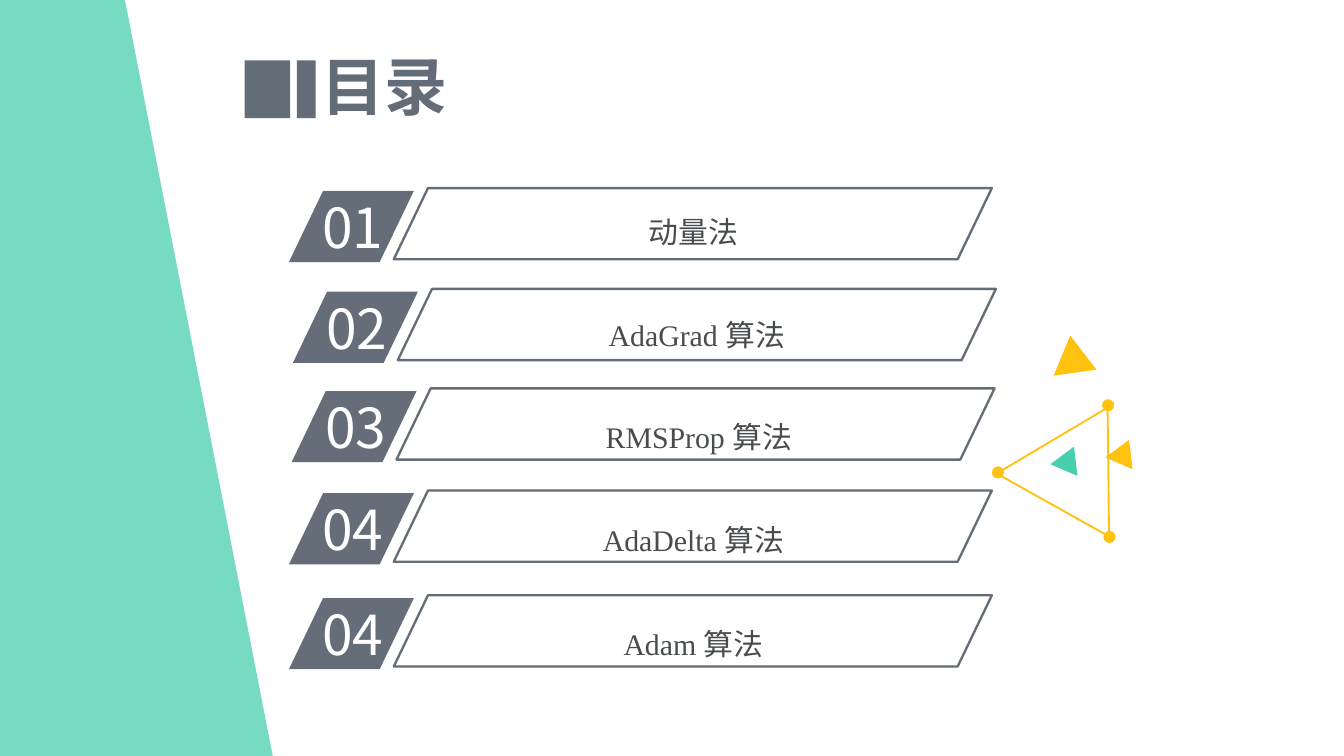
from lxml.etree import SubElement
from pptx import Presentation
from pptx.dml.color import RGBColor
from pptx.enum.shapes import MSO_SHAPE
from pptx.enum.text import MSO_ANCHOR, PP_ALIGN
from pptx.oxml.ns import qn
from pptx.util import Inches, Pt

COLORS = {
    "white": "FFFFFF", "mint": "49CFAE", "teal": "48CFAE", "gold": "FFC20F",
    "slate": "646D78", "title": "636D78", "label": "494C4F",
}
SANS, SERIF = "Noto Sans CJK SC", "Times New Roman"
WIDE = Inches(10)
HIGH = WIDE * 9 // 16

# Number, label, frame left and top, label left, top and width
ROWS = [
    ("01", "动量法", 2.93, 1.40, 3.53, 1.42, 3.26),
    ("02", "AdaGrad 算法", 2.96, 2.15, 3.07, 2.18, 4.23),
    ("03", "RMSProp 算法", 2.95, 2.89, 3.08, 2.94, 4.24),
    ("04", "AdaDelta 算法", 2.93, 3.65, 3.53, 3.71, 3.26),
    ("04", "Adam 算法", 2.93, 4.43, 3.53, 4.48, 3.26),
]


def color(name):
    return RGBColor.from_string(COLORS[name])


def paint(shape, fill=None, line=None, width=1):
    shape.shadow.inherit = False
    if fill:
        shape.fill.solid()
        shape.fill.fore_color.rgb = color(fill)
    else:
        shape.fill.background()
    if line:
        shape.line.color.rgb = color(line)
        shape.line.width = Pt(width)
    else:
        shape.line.fill.background()


def add_form(slide, kind, box, turn=0, **style):
    shape = slide.shapes.add_shape(kind, *map(Inches, box))
    shape.rotation = turn
    paint(shape, **style)
    return shape


def add_slant(slide, box, **style):
    shape = add_form(slide, MSO_SHAPE.PARALLELOGRAM, box, **style)
    shape.adjustments[0] = 0.48


def add_text(slide, text, box, size, face, tone, align=PP_ALIGN.LEFT,
             inset=(0.1, 0.05), space=None, bold=None, anchor=MSO_ANCHOR.TOP):
    frame = slide.shapes.add_textbox(*map(Inches, box)).text_frame
    frame.word_wrap = True
    frame.vertical_anchor = anchor
    frame.margin_left = frame.margin_right = Inches(inset[0])
    frame.margin_top = frame.margin_bottom = Inches(inset[1])
    para = frame.paragraphs[0]
    para.text = text
    para.alignment = align
    para.line_spacing = space
    font = para.font
    font.size, font.name, font.bold = Pt(size), face, bold
    font.color.rgb = color(tone)
    # Chinese glyphs use the sans face
    props = para._p.pPr.find(qn("a:defRPr"))
    SubElement(props, qn("a:ea")).set("typeface", SANS)


def add_panel(slide):
    pen = slide.shapes.build_freeform(0, 0, scale=1)
    edge = [(Inches(0.93), 0), (Inches(2.03), HIGH), (0, HIGH)]
    pen.add_line_segments(edge, close=True)
    panel = pen.convert_to_shape()
    paint(panel, fill="mint")
    tint = panel._element.spPr.find(qn("a:solidFill"))[0]
    SubElement(tint, qn("a:alpha")).set("val", "75000")


def add_row(slide, num, label, x, y, left, top, width):
    add_slant(slide, (x - 0.78, y + 0.02, 0.93, 0.53), fill="slate")
    add_text(slide, num, (x - 0.63, y - 0.01, 0.88, 0.6), 29.5, SANS, "white")
    add_text(slide, label, (left, top, width, 0.43), 16, SERIF, "label",
             align=PP_ALIGN.CENTER, inset=(0.08, 0.04), space=1.5)
    add_slant(slide, (x, y, 4.45, 0.53), line="slate", width=1.25)


def add_decor(slide):
    tri = MSO_SHAPE.ISOSCELES_TRIANGLE
    add_form(slide, tri, (7.79, 2.57, 0.32, 0.28), 232.4, fill="gold")
    add_form(slide, tri, (7.85, 3.37, 0.22, 0.19), 143.3, fill="teal")
    add_form(slide, tri, (8.26, 3.32, 0.22, 0.19), 143.3, fill="gold")
    add_form(slide, tri, (7.56, 3.22, 0.96, 0.83), 149.3, line="gold")
    for x, y in [(8.2, 2.97), (8.21, 3.95), (7.38, 3.47)]:
        add_form(slide, MSO_SHAPE.OVAL, (x, y, 0.09, 0.09), fill="gold")


def main():
    deck = Presentation()
    deck.slide_width, deck.slide_height = WIDE, HIGH
    slide = deck.slides.add_slide(deck.slide_layouts[6])

    # Triangles on the right
    add_decor(slide)

    # Title with its two bars
    add_text(slide, "目录", (1.56, 0.35, 2.6, 0.57), 33.8, SANS, "title",
             align=PP_ALIGN.CENTER, bold=True, anchor=MSO_ANCHOR.MIDDLE)
    for x, width in [(2.21, 0.14), (1.82, 0.34)]:
        add_form(slide, MSO_SHAPE.RECTANGLE, (x, 0.45, width, 0.43),
                 fill="title")

    # Side panel and contents
    add_panel(slide)
    for row in ROWS:
        add_row(slide, *row)

    deck.save("out.pptx")


if __name__ == "__main__":
    main()
